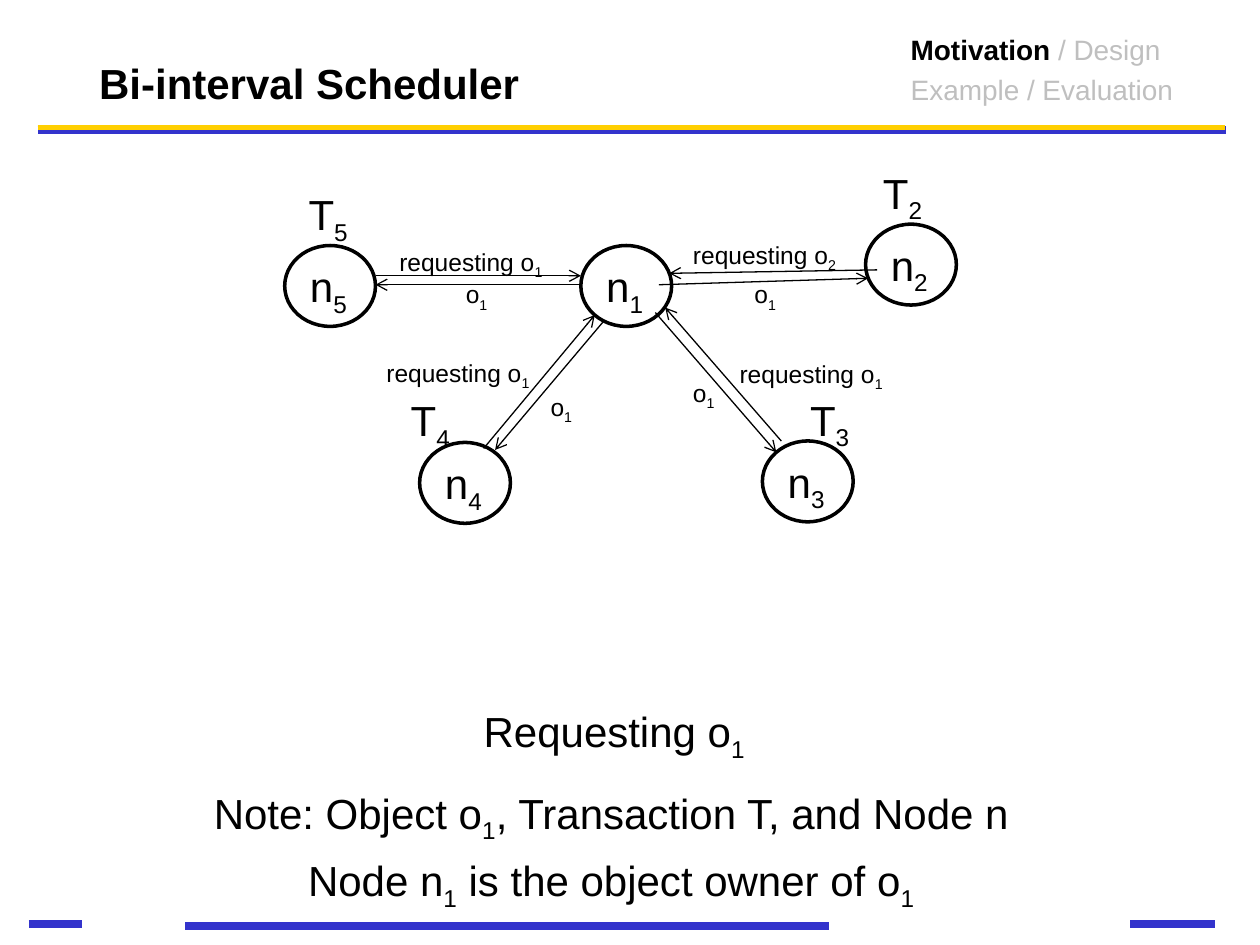
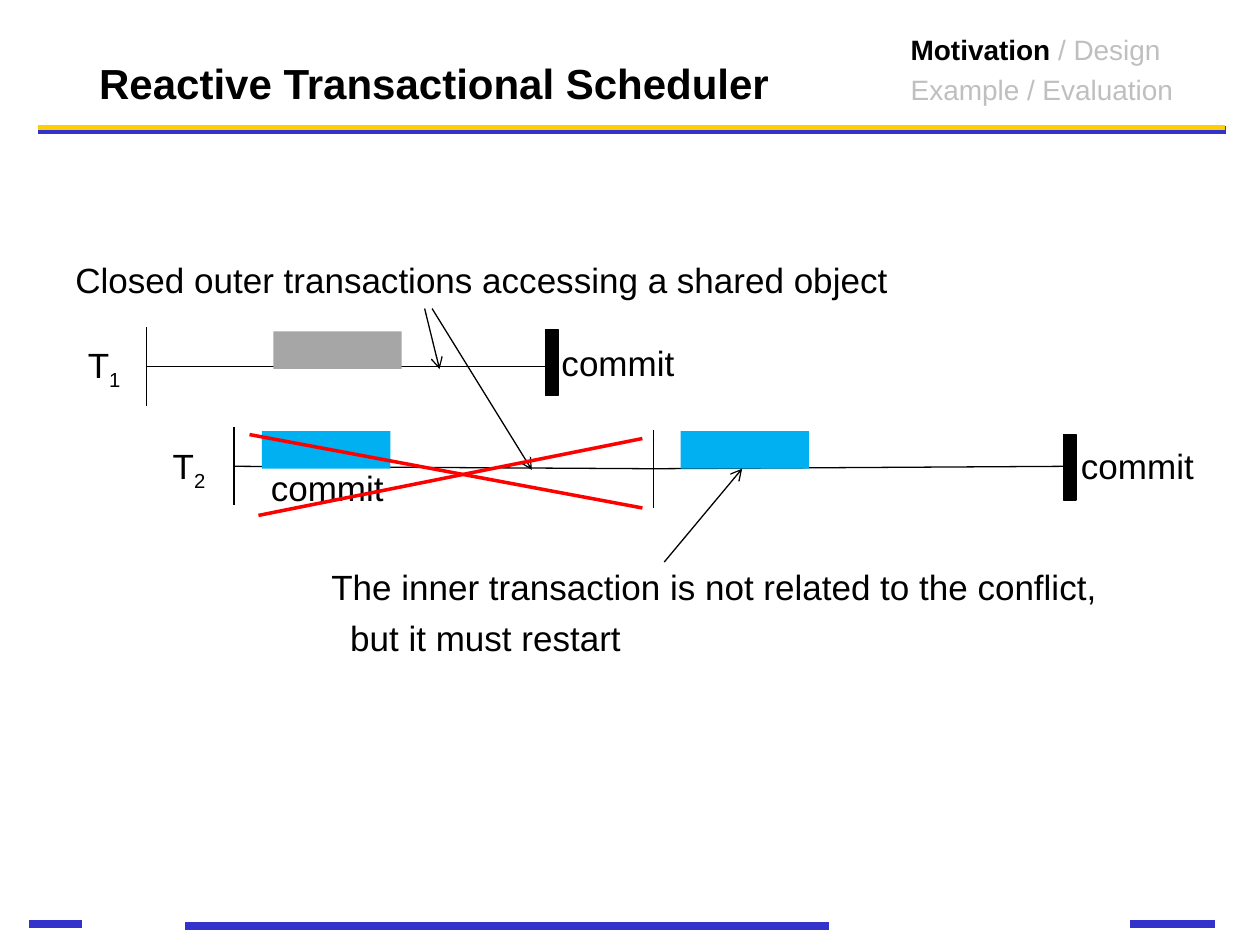
from dataclasses import dataclass
from typing import Any, NamedTuple

import pptx
import pptx.dml.color
import pptx.enum.shapes
import pptx.enum.text
import pptx.oxml
import pptx.oxml.ns
import pptx.util

Cm = pptx.util.Cm
Pt = pptx.util.Pt
MSO_SHAPE = pptx.enum.shapes.MSO_SHAPE

COLORS = {
    "black": "000000",
    "white": "FFFFFF",
    "muted": "BFBFBF",
    "blue": "3333CC",
    "yellow": "FFCF01",
    "gray": "A6A6A6",
    "cyan": "00B0F0",
    "red": "FF0000",
}
FONT = "Arial"
THIN = 0.75
SPACE_BEFORE = 0.24  # share of the text size


class Run(NamedTuple):
    text: str
    color: str = "black"
    bold: bool = False
    subscript: bool = False


class Line(NamedTuple):
    x1: float
    y1: float
    x2: float
    y2: float
    color: str = "black"
    width: float = THIN
    arrow: bool = False


class Box(NamedTuple):
    left: float
    top: float
    width: float
    height: float


@dataclass
class Paragraph:
    runs: list[Run]
    indent: float = 0


@dataclass
class Label:
    box: Box
    size: float
    paragraphs: list[Paragraph]
    wrap: bool = False


@dataclass
class Node:
    number: int
    left: float
    top: float
    transaction_offset: tuple[float, float] | None = None


def rgb(name: str) -> pptx.dml.color.RGBColor:
    return pptx.dml.color.RGBColor.from_string(COLORS[name])


def apply_format(target: Any, values: dict[str, Any]) -> None:
    for name, value in values.items():
        setattr(target, name, value)


def rich(text: str, indent: float = 0) -> Paragraph:
    """Split text into runs; the character after an underscore is a subscript."""
    first, *others = text.split("_")
    runs = [Run(first)]
    for part in others:
        runs.append(Run(part[0], subscript=True))
        if part[1:]:
            runs.append(Run(part[1:]))
    return Paragraph(runs, indent)


def label(text: str, size: float, *box: float) -> Label:
    return Label(Box(*box), size, [rich(text)])


# Drawing functions
def fill_paragraph(paragraph: Any, content: Paragraph, size: float) -> None:
    paragraph.space_before = Pt(SPACE_BEFORE * size)
    if content.indent:
        paragraph._p.get_or_add_pPr().set("marL", str(Cm(content.indent)))
    for item in content.runs:
        run = paragraph.add_run()
        run.text = item.text
        apply_format(run.font, {"name": FONT, "size": Pt(size), "bold": item.bold})
        run.font.color.rgb = rgb(item.color)
        if item.subscript:
            run._r.get_or_add_rPr().set("baseline", "-25000")


def draw_label(slide: Any, item: Label, **frame_format: Any) -> None:
    frame = slide.shapes.add_textbox(*map(Cm, item.box)).text_frame
    apply_format(frame, {
        "word_wrap": item.wrap,
        "auto_size": pptx.enum.text.MSO_AUTO_SIZE.SHAPE_TO_FIT_TEXT,
        **frame_format,
    })
    for index, content in enumerate(item.paragraphs):
        paragraph = frame.add_paragraph() if index else frame.paragraphs[0]
        fill_paragraph(paragraph, content, item.size)


def draw_line(slide: Any, line: Line) -> None:
    connector = slide.shapes.add_connector(
        pptx.enum.shapes.MSO_CONNECTOR.STRAIGHT, *map(Cm, line[:4]))
    connector.line.color.rgb = rgb(line.color)
    connector.line.width = Pt(line.width)
    properties = connector._element.spPr
    if line.arrow:
        outline = properties.find(pptx.oxml.ns.qn("a:ln"))
        outline.append(pptx.oxml.parse_xml(
            f'<a:tailEnd {pptx.oxml.ns.nsdecls("a")} type="arrow"/>'))
    properties.append(pptx.oxml.parse_xml(
        f'<a:effectLst {pptx.oxml.ns.nsdecls("a")}/>'))


def draw_shape(slide: Any, kind: Any, box: Box, fill: str, line_width: float = 0) -> None:
    shape = slide.shapes.add_shape(kind, *map(Cm, box))
    shape.shadow.inherit = False
    shape.fill.solid()
    shape.fill.fore_color.rgb = rgb(fill)
    if line_width:
        shape.line.color.rgb = rgb("black")
        shape.line.width = Pt(line_width)
    else:
        shape.line.fill.background()


def draw_node(slide: Any, node: Node) -> None:
    draw_shape(slide, MSO_SHAPE.OVAL, Box(node.left, node.top, 1.83, 1.63), "white", 2)
    if node.transaction_offset:
        dx, dy = node.transaction_offset
        draw_label(slide, label(f"T_{node.number}", 24,
                                node.left + dx, node.top + dy, 1.35, 1.27))
    draw_label(slide, label(f"n_{node.number}", 24,
                            node.left + 0.26, node.top + 0.18, 1.3, 1.27))


# Shared frame: header rules, footer bands, title and progress
FRAME_LINES = [
    Line(0.76, 2.62, 24.71, 2.62, "blue", 4.5),
    Line(3.73, 18.67, 16.71, 18.67, "blue", 4.5),
    Line(22.78, 18.62, 24.49, 18.62, "blue", 4.5),
    Line(0.76, 2.57, 24.69, 2.57, "yellow", 3),
    Line(0.58, 18.62, 1.65, 18.62, "blue", 4.5),
]
PROGRESS = Label(Box(18.11, 0.53, 6.22, 1.75), 16, [
    Paragraph([Run("Motivation", bold=True), Run(" / Design", "muted")]),
    Paragraph([Run("Example / Evaluation", "muted")]),
], wrap=True)


def add_slide(presentation: Any, title: str) -> Any:
    slide = presentation.slides.add_slide(presentation.slide_layouts[6])
    for line in FRAME_LINES:
        draw_line(slide, line)
    heading = Label(Box(1.75, 0.61, 21.39, 1.7), 24,
                    [Paragraph([Run(title, bold=True)])], wrap=True)
    draw_label(slide, heading,
               auto_size=pptx.enum.text.MSO_AUTO_SIZE.NONE,
               vertical_anchor=pptx.enum.text.MSO_ANCHOR.BOTTOM)
    draw_label(slide, PROGRESS)
    return slide


# Slide 1: nodes exchanging object requests
NODES = [
    Node(1, 11.71, 4.95),
    Node(2, 17.45, 4.52, (0.1, -1.27)),
    Node(5, 5.74, 4.95, (0.23, -1.27)),
    Node(4, 8.46, 8.92, (-0.43, -1.09)),
    Node(3, 15.37, 8.89, (0.71, -1.07)),
]
MESSAGES = [
    (7.57, 5.56, 11.71, 5.56),
    (11.71, 5.74, 7.57, 5.74),
    (12.19, 6.45, 9.98, 9.07),
    (9.75, 9.04, 11.99, 6.35),
    (13.28, 5.74, 17.5, 5.61),
    (17.68, 5.44, 13.49, 5.51),
    (15.75, 8.89, 13.41, 6.2),
    (13.21, 6.3, 15.65, 9.12),
]
REQUESTS = [(1, 7.8, 4.85), (1, 7.54, 7.09), (2, 13.72, 4.72), (1, 14.66, 7.11)]
REPLIES = [(9.14, 5.51), (10.85, 7.77), (13.72, 7.49), (14.96, 5.51)]


def build_bi_interval(presentation: Any) -> None:
    slide = add_slide(presentation, "Bi-interval Scheduler")
    for node in NODES:
        draw_node(slide, node)
    for ends in MESSAGES:
        draw_line(slide, Line(*ends, arrow=True))
    for number, left, top in REQUESTS:
        draw_label(slide, label(f"requesting o_{number}", 14, left, top, 3.43, 0.86))
    for left, top in REPLIES:
        draw_label(slide, label("o_1", 14, left, top, 0.97, 0.86))
    draw_label(slide, label("Requesting o_1", 24, 9.5, 14.1, 5.87, 1.27))
    draw_label(slide, Label(Box(4.06, 15.75, 16.74, 2.51), 24, [
        rich("Note: Object o_1, Transaction T, and Node n"),
        rich("Node n_1 is the object owner of o_1", indent=1.9),
    ]))


# Slide 2: timelines of two transactions
TIMELINES = [
    Line(2.95, 6.6, 2.95, 8.18),
    Line(2.95, 7.39, 11.13, 7.39),
    Line(4.72, 8.61, 4.72, 10.19),
    Line(4.72, 9.4, 13.18, 9.45),
    Line(13.18, 8.66, 13.18, 10.24),
    Line(13.18, 9.45, 21.54, 9.4),
]
INNER_TRANSACTIONS = [(5.51, 6.68, "gray"), (5.28, 8.69, "cyan"), (13.72, 8.69, "cyan")]
COMMIT_BARS = [(11, 6.65), (21.44, 8.76)]
COMMIT_LABELS = [(11.07, 6.76), (5.21, 9.27), (21.54, 8.84)]
TRANSACTION_LABELS = [(1, 1.52, 6.81), (2, 3.23, 8.84)]
POINTERS_AND_CROSS = [
    Line(8.56, 6.22, 8.86, 7.44, arrow=True),
    Line(8.71, 6.22, 10.72, 9.47, arrow=True),
    Line(13.39, 11.33, 14.96, 9.45, arrow=True),
    Line(5.03, 8.76, 12.95, 10.24, "red", 2),
    Line(5.21, 10.39, 12.95, 8.84, "red", 2),
]


def build_reactive(presentation: Any) -> None:
    slide = add_slide(presentation, "Reactive Transactional Scheduler")
    for line in TIMELINES:
        draw_line(slide, line)
    for left, top, color in INNER_TRANSACTIONS:
        draw_shape(slide, MSO_SHAPE.RECTANGLE, Box(left, top, 2.59, 0.76), color)
    for number, left, top in TRANSACTION_LABELS:
        draw_label(slide, label(f"T_{number}", 20, left, top, 1.22, 1.12))
    for left, top in COMMIT_LABELS:
        draw_label(slide, label("commit", 20, left, top, 2.79, 1.12))
    draw_label(slide, label("Closed outer transactions accessing a shared object",
                            20, 1.27, 5.08, 17.02, 1.12))
    for line in POINTERS_AND_CROSS:
        draw_line(slide, line)
    for left, top in COMMIT_BARS:
        draw_shape(slide, MSO_SHAPE.RECTANGLE, Box(left, top, 0.25, 1.32), "black", THIN)
    draw_label(slide, Label(Box(6.43, 11.28, 16.26, 2.13), 20, [
        rich("The inner transaction is not related to the conflict,"),
        rich("but it must restart", indent=0.38),
    ]))


def main() -> None:
    presentation = pptx.Presentation()
    presentation.slide_width = Cm(25.4)
    presentation.slide_height = Cm(19.05)
    build_bi_interval(presentation)
    build_reactive(presentation)
    presentation.save("out.pptx")


if __name__ == "__main__":
    main()
